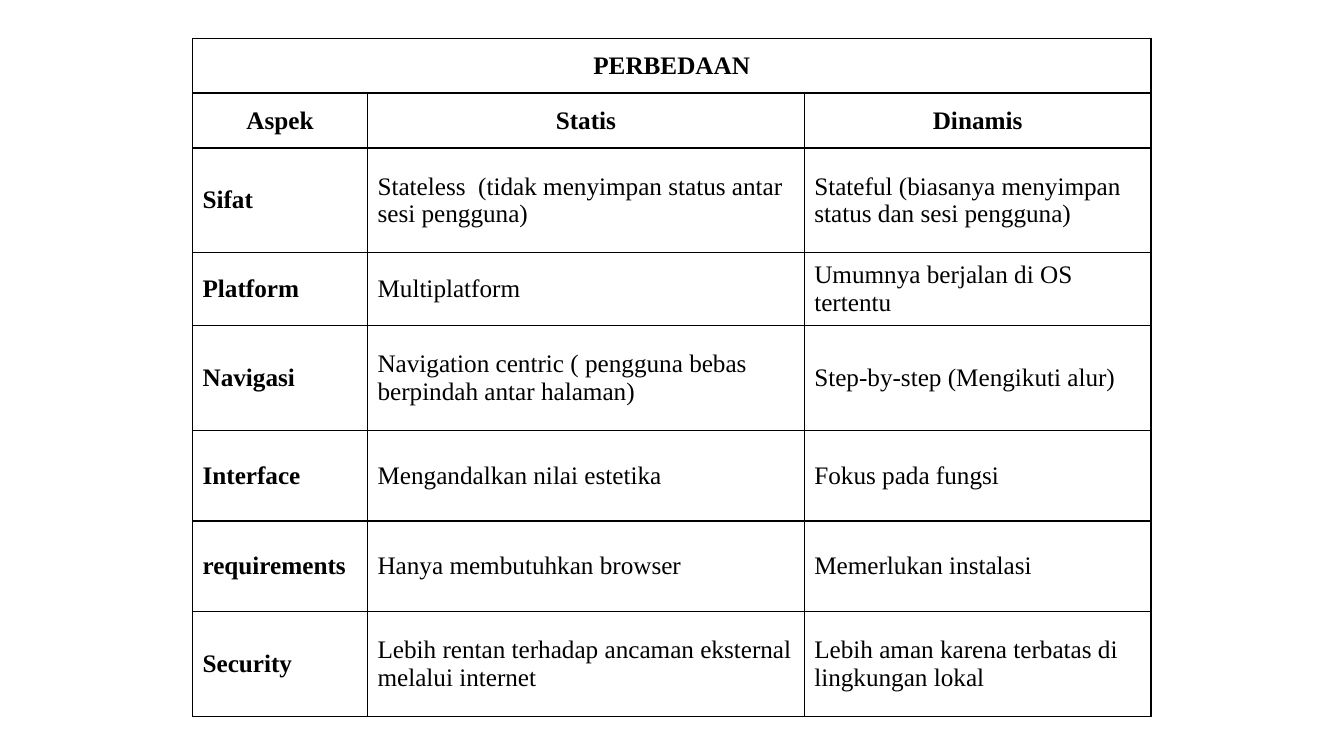
from lxml.etree import SubElement
from pptx import Presentation
from pptx.dml.color import RGBColor
from pptx.enum.text import MSO_ANCHOR as Anchor, PP_ALIGN as Align
from pptx.oxml import parse_xml
from pptx.oxml.ns import nsdecls, qn
from pptx.util import Pt

FONT = "Times New Roman"
BLACK, WHITE = "000000", "FFFFFF"
LEFT, TOP = 137.5, 27.3
COLUMN_WIDTHS = [125, 312, 247.7]
ROW_HEIGHTS = [39.2, 39.2, 75, 52, 75, 64.6, 64.6, 75]
HEADER_ROWS = 2
ROWS = [
    ["PERBEDAAN"],
    ["Aspek", "Statis", "Dinamis"],
    ["Sifat", "Stateless  (tidak menyimpan status antar sesi pengguna)",
     "Stateful (biasanya menyimpan status dan sesi pengguna)"],
    ["Platform", "Multiplatform", "Umumnya berjalan di OS tertentu"],
    ["Navigasi", "Navigation centric ( pengguna bebas berpindah antar halaman)",
     "Step-by-step (Mengikuti alur)"],
    ["Interface", "Mengandalkan nilai estetika", "Fokus pada fungsi"],
    ["requirements", "Hanya membutuhkan browser", "Memerlukan instalasi"],
    ["Security", "Lebih rentan terhadap ancaman eksternal melalui internet",
     "Lebih aman karena terbatas di lingkungan lokal"],
]


def color(value):
    """Return the colour for a hex string."""
    return RGBColor.from_string(value)


def write_text(cell, text, size=18, bold=False, align=Align.LEFT, font_color=BLACK):
    """Write one formatted paragraph into a cell, centred vertically."""
    cell.vertical_anchor = Anchor.MIDDLE
    paragraph = cell.text_frame.paragraphs[0]
    paragraph.alignment = align
    run = paragraph.add_run()
    run.text = text
    run.font.name = FONT
    run.font.size = Pt(size)
    run.font.bold = bold
    run.font.color.rgb = color(font_color)


def set_borders(cell, line_color=BLACK, width=1):
    """Draw a solid line on all four sides of a cell."""
    properties = cell._tc.get_or_add_tcPr()
    for index, side in enumerate(("lnL", "lnR", "lnT", "lnB")):
        line = parse_xml(f'<a:{side} {nsdecls("a")} w="{Pt(width)}"/>')
        fill = SubElement(line, qn("a:solidFill"))
        SubElement(fill, qn("a:srgbClr"), val=line_color)
        properties.insert(index, line)


def style_cell(cell, fill_color=WHITE):
    """Give a cell its fill and borders."""
    cell.fill.solid()
    cell.fill.fore_color.rgb = color(fill_color)
    set_borders(cell)


def add_comparison_table(slide):
    """Add the table that compares the two kinds of site."""
    frame = slide.shapes.add_table(
        len(ROWS), len(COLUMN_WIDTHS), Pt(LEFT), Pt(TOP),
        Pt(sum(COLUMN_WIDTHS)), Pt(sum(ROW_HEIGHTS)))
    table = frame.table
    table.first_row = table.horz_banding = False
    for column, width in zip(table.columns, COLUMN_WIDTHS):
        column.width = Pt(width)
    for row, height in zip(table.rows, ROW_HEIGHTS):
        row.height = Pt(height)
    for cell in table.iter_cells():
        style_cell(cell)
    table.cell(0, 0).merge(table.cell(0, len(COLUMN_WIDTHS) - 1))
    for row_index, texts in enumerate(ROWS):
        header = row_index < HEADER_ROWS
        for column_index, text in enumerate(texts):
            write_text(table.cell(row_index, column_index), text,
                       bold=header or column_index == 0,
                       align=Align.CENTER if header else Align.LEFT)


def main():
    """Build the slide and save it."""
    presentation = Presentation()
    presentation.slide_width = Pt(960)
    presentation.slide_height = Pt(540)
    slide = presentation.slides.add_slide(presentation.slide_layouts[6])
    add_comparison_table(slide)
    presentation.save("out.pptx")


if __name__ == "__main__":
    main()
